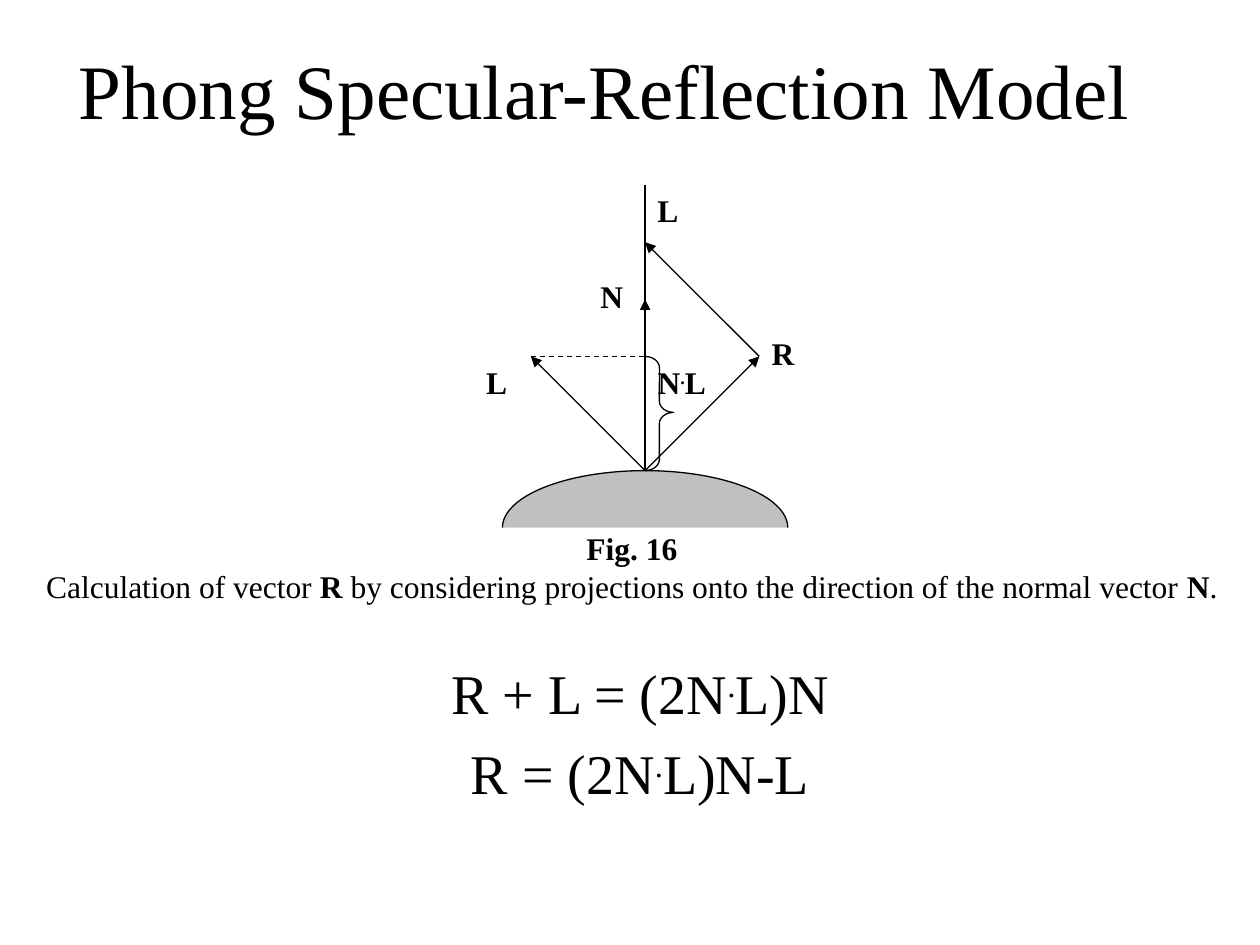
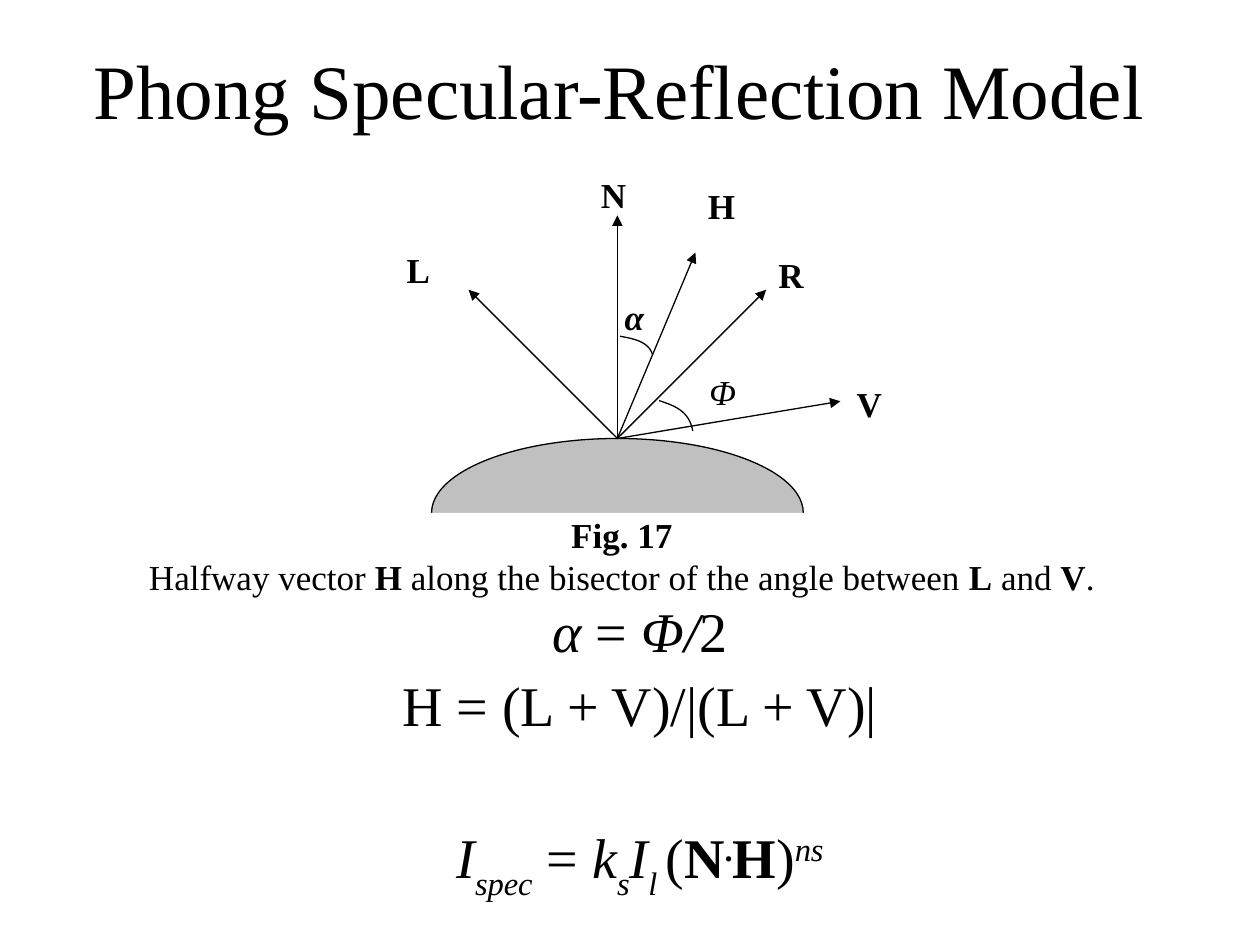
from dataclasses import dataclass

from lxml import etree
from pptx import Presentation
from pptx.dml.color import RGBColor
from pptx.enum.dml import MSO_LINE
from pptx.enum.shapes import MSO_CONNECTOR, MSO_SHAPE
from pptx.enum.text import MSO_ANCHOR, PP_ALIGN
from pptx.oxml.ns import qn
from pptx.util import Inches, Pt

STRAIGHT = MSO_CONNECTOR.STRAIGHT
DASH = MSO_LINE.DASH
OVAL, RECTANGLE, BRACE = MSO_SHAPE.OVAL, MSO_SHAPE.RECTANGLE, MSO_SHAPE.RIGHT_BRACE
CENTER, LEFT = PP_ALIGN.CENTER, PP_ALIGN.LEFT
MIDDLE, TOP = MSO_ANCHOR.MIDDLE, MSO_ANCHOR.TOP
TOP_SIDE = 0
BASELINES = {"^": "30000", "_": "-30000"}


@dataclass(frozen=True)
class Theme:
    font: str = "Times New Roman"
    ink: RGBColor = RGBColor(0, 0, 0)
    paper: RGBColor = RGBColor(255, 255, 255)
    surface: RGBColor = RGBColor(192, 192, 192)
    title: int = 44
    formula: int = 32
    formula_gap: float = 7.4
    stroke: float = 0.75
    width: float = 10
    height: float = 7.5


THEME = Theme()


@dataclass(frozen=True)
class Diagram:
    page: object
    apex_x: float
    apex_y: float
    unit: float
    label_size: int

    def point(self, column, row):
        return (Inches(self.apex_x + column * self.unit),
                Inches(self.apex_y + row * self.unit))

    def frame(self, column, row, columns, rows):
        return (*self.point(column, row),
                Inches(columns * self.unit), Inches(rows * self.unit))


def set_all(target, values):
    for name, value in values.items():
        setattr(target, name, value)


def add_spans(para, spans, size):
    for text, marks in spans:
        span = para.add_run()
        span.text = text
        set_all(span.font, {"name": THEME.font, "size": Pt(size),
                            "bold": "b" in marks, "italic": "i" in marks})
        span.font.color.rgb = THEME.ink
        for mark, shift in BASELINES.items():
            if mark in marks:
                span.font._element.set("baseline", shift)


def add_text(page, frame, lines, size, align=LEFT, anchor=TOP, formats=None):
    box = page.shapes.add_textbox(*frame)
    set_all(box.text_frame, {"word_wrap": True, "vertical_anchor": anchor})
    for index, spans in enumerate(lines):
        para = box.text_frame.paragraphs[0] if index == 0 else box.text_frame.add_paragraph()
        para.alignment = align
        set_all(para, formats[index] if formats else {})
        add_spans(para, spans, size)


def share_frame(left, top, width, height):
    return (Inches(left * THEME.width), Inches(top * THEME.height),
            Inches(width * THEME.width), Inches(height * THEME.height))


def add_title(page, left):
    add_text(page, share_frame(left, 0.01, 0.925 - left, 0.167),
             [[("Phong Specular-Reflection Model ", "")]], THEME.title, CENTER, MIDDLE)


def add_formulas(page, top, height, lines, line_spacing=1.0, gaps=None):
    gaps = gaps or [0] + [THEME.formula_gap] * (len(lines) - 1)
    formats = [{"space_before": Pt(gap), "line_spacing": line_spacing} for gap in gaps]
    add_text(page, share_frame(0.083, top, 0.85, height), lines,
             THEME.formula, CENTER, formats=formats)


def ink_line(line):
    line.color.rgb = THEME.ink
    line.width = Pt(THEME.stroke)


def add_line(diagram, start, end, arrow=False, dashed=False):
    line = diagram.page.shapes.add_connector(
        STRAIGHT, *diagram.point(*start), *diagram.point(*end))
    ink_line(line.line)
    if dashed:
        line.line.dash_style = DASH
    if arrow:
        etree.SubElement(line.line._get_or_add_ln(), qn("a:tailEnd"), type="triangle")
    etree.SubElement(line._element.spPr, qn("a:effectLst"))
    return line


def add_ray(diagram, column, row):
    ground_row = 2
    return add_line(diagram, (column * ground_row / row, ground_row), (column, row), arrow=True)


def add_shape(diagram, kind, frame, fill=None, outlined=True):
    shape = diagram.page.shapes.add_shape(kind, *diagram.frame(*frame))
    shape.shadow.inherit = False
    if fill is None:
        shape.fill.background()
    else:
        shape.fill.solid()
        shape.fill.fore_color.rgb = fill
    if outlined:
        ink_line(shape.line)
    else:
        shape.line.fill.background()
    return shape


def add_surface(diagram, normal):
    add_shape(diagram, OVAL, (-5, 0, 10, 4), THEME.surface)
    ground = add_shape(diagram, RECTANGLE, (-6, 2, 12, 3), THEME.paper, outlined=False)
    normal.begin_connect(ground, TOP_SIDE)


def add_labels(diagram, labels):
    for spans, frame in labels:
        add_text(diagram.page, diagram.frame(*frame), [spans], diagram.label_size)


def add_caption(diagram, center, row, lines):
    width = 11.81
    _, top, _, height = diagram.frame(0, row, 0, 4.1)
    frame = Inches(center - width / 2), top, Inches(width), height
    add_text(diagram.page, frame, lines, diagram.label_size, CENTER)


def add_arc(diagram, *controls, steps=16):
    points = []
    for step in range(steps + 1):
        t = step / steps
        weights = ((1 - t) ** 3, 3 * t * (1 - t) ** 2, 3 * t ** 2 * (1 - t), t ** 3)
        column, row = (sum(w * c for w, c in zip(weights, axis)) for axis in zip(*controls))
        points.append(diagram.point(column, row))
    builder = diagram.page.shapes.build_freeform(*points[0])
    builder.add_line_segments(points[1:], close=False)
    arc = builder.convert_to_shape()
    arc.shadow.inherit = False
    arc.fill.background()
    ink_line(arc.line)


def build_projection_page(page):
    add_title(page, 0.05)
    add_formulas(page, 0.69, 0.21, [
        [("R + L = (2N", ""), (".", "^"), ("L)N", "")],
        [("R = (2N", ""), (".", "^"), ("L)N-L", "")],
    ])
    diagram = Diagram(page, 5.12, 3.735, 0.2265, 18)
    _, normal, _ = [add_ray(diagram, *tip) for tip in ((4, -4), (0, -6), (-4, -4))]
    add_surface(diagram, normal)
    add_labels(diagram, [
        ([("N", "b")], (-2, -7, 3, 2)),
        ([("L", "b")], (-6, -4, 3, 2)),
        ([("R", "b")], (4, -5, 3, 2)),
        ([("N", "b"), (".", "b^"), ("L", "b")], (0, -4, 4, 2)),
        ([("L", "b")], (0, -10, 3, 2)),
    ])
    add_line(diagram, (-4, -4), (0, -4), dashed=True)
    add_line(diagram, (0, -5), (0, -10))
    add_line(diagram, (4, -4), (0, -8), arrow=True)
    brace = add_shape(diagram, BRACE, (0, -4, 1, 4))
    brace.adjustments[0], brace.adjustments[1] = 0.39, 0.49
    add_caption(diagram, 5.015, 1.83, [
        [("Fig. 16", "b")],
        [("Calculation of vector ", ""), ("R", "b"),
         (" by considering projections onto the direction of the normal vector ", ""),
         ("N", "b"), (".", "")],
    ])


def build_halfway_page(page):
    add_title(page, 0.058)
    diagram = Diagram(page, 4.9, 3.48, 0.295, 20)
    _, _, normal, _ = [add_ray(diagram, *tip)
                       for tip in ((2.1, -5), (4, -4), (0, -6), (-4, -4))]
    add_surface(diagram, normal)
    add_line(diagram, (0, 0), (6, -1), arrow=True)
    add_labels(diagram, [
        ([("N", "b")], (-0.78, -7.29, 1.5, 1.4)),
        ([("L", "b")], (-6, -5.29, 1.5, 1.5)),
        ([("R", "b")], (4, -5.15, 1.7, 1.5)),
        ([("V", "b")], (6.1, -1.66, 2.2, 1.4)),
        ([("Φ", "i")], (2.14, -2, 1.35, 1.3)),
        ([("H", "b")], (2.1, -7, 1.6, 1.4)),
        ([("α", "bi")], (-0.14, -4, 1.9, 1.3)),
    ])
    add_caption(diagram, 4.935, 1.86, [
        [("Fig. 17", "b")],
        [("Halfway vector ", ""), ("H", "b"),
         (" along the bisector of the angle between ", ""),
         ("L", "b"), (" and ", ""), ("V", "b"), (".", "")],
    ])
    add_formulas(page, 0.633, 0.323, [
        [("α", "i"), (" = ", ""), ("Φ/", "i"), ("2", "")],
        [("H = (L + V)/|(L + V)|", "")],
        [("I", "i"), ("spec", "i_"), (" = ", ""), ("k", "i"), ("s", "i_"),
         ("I", "i"), ("l ", "i_"), ("(", ""), ("N", "b"), (".", "b^"),
         ("H", "b"), (")", ""), ("ns", "i^")],
    ], line_spacing=0.9, gaps=[0, THEME.formula_gap, 48])
    add_arc(diagram, (0.07, -2.75), (0.44, -2.68), (0.85, -2.61), (0.95, -2.24))
    add_arc(diagram, (1.12, -1.02), (1.53, -0.88), (1.93, -0.75), (2.03, -0.2))


def main():
    deck = Presentation()
    set_all(deck, {"slide_width": Inches(THEME.width), "slide_height": Inches(THEME.height)})
    blank = deck.slide_layouts[6]
    for build in (build_projection_page, build_halfway_page):
        build(deck.slides.add_slide(blank))
    deck.save("out.pptx")


if __name__ == "__main__":
    main()
